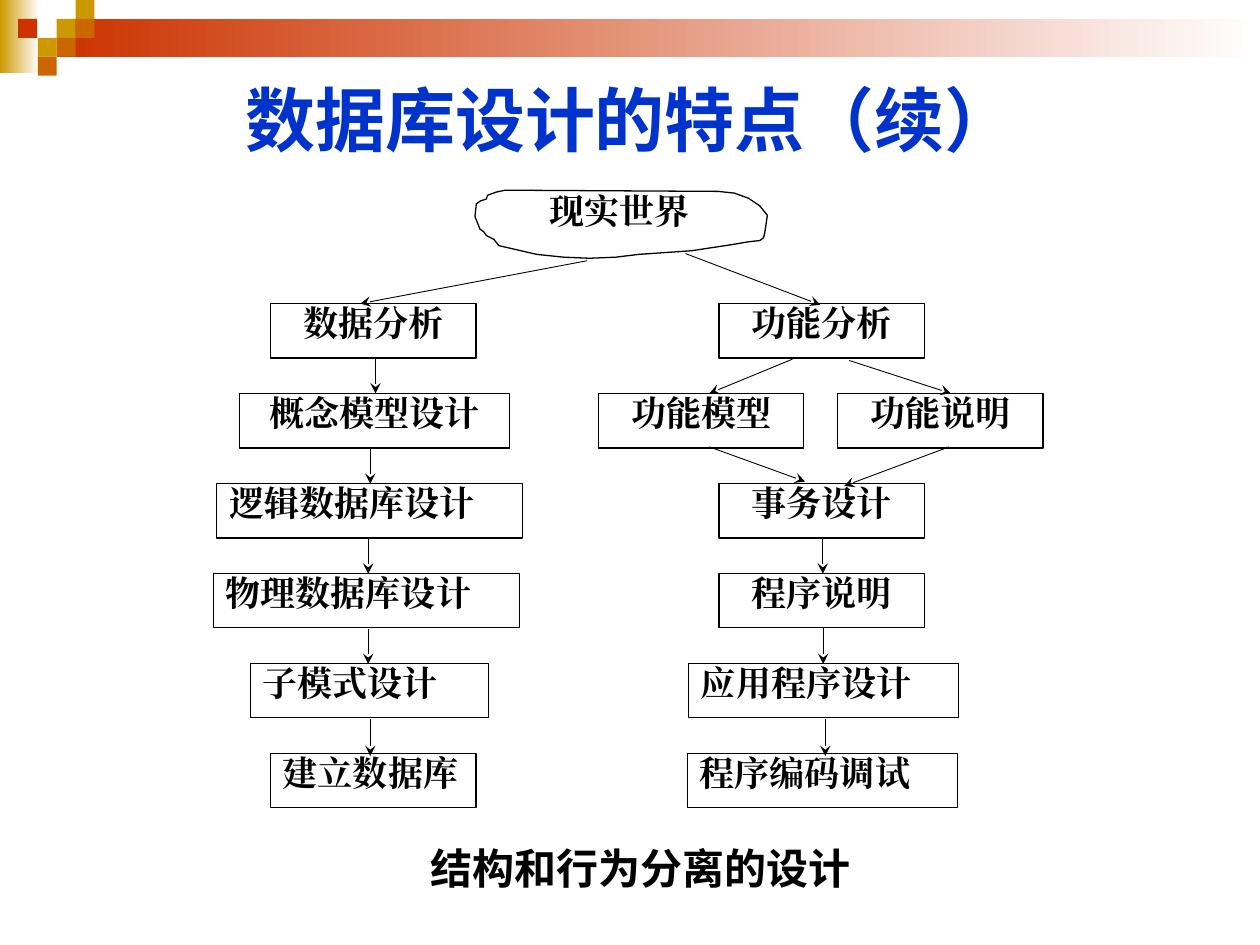
from typing import NamedTuple

from lxml.etree import SubElement
from pptx import Presentation
from pptx.dml.color import RGBColor
from pptx.enum.shapes import MSO_CONNECTOR, MSO_SHAPE
from pptx.enum.text import MSO_ANCHOR, PP_ALIGN
from pptx.oxml.ns import qn
from pptx.util import Pt

BLACK = RGBColor(0x00, 0x00, 0x00)
WHITE = RGBColor(0xFF, 0xFF, 0xFF)
BLUE = RGBColor(0x00, 0x33, 0xCC)
GOLD = RGBColor(0xCC, 0x99, 0x00)
ORANGE = RGBColor(0xCC, 0x66, 0x00)
RED = RGBColor(0xCC, 0x33, 0x00)

SANS = "Noto Sans CJK SC"
SERIF = "Times New Roman"
MID = PP_ALIGN.CENTER
JUST = PP_ALIGN.JUSTIFY
TOP, STEP, HIGH = 173.6, 51.4, 31
TILE = 10.8


class Area(NamedTuple):
    left: float
    top: float
    width: float
    height: float


class Style(NamedTuple):
    font: dict
    para: dict
    anchor: MSO_ANCHOR = MSO_ANCHOR.TOP


class Node(NamedTuple):
    text: str
    row: int
    left: float
    width: float
    align: PP_ALIGN = MID


class Arrow(NamedTuple):
    x: float
    y: float
    to_x: float
    to_y: float
    weight: float = 0.5


class Tile(NamedTuple):
    left: float
    top: float
    color: RGBColor


TILES = [
    Tile(32.4, 10.8, GOLD),
    Tile(43.2, 0, GOLD),
    Tile(43.2, 10.8, ORANGE),
    Tile(21.6, 21.6, GOLD),
    Tile(10.4, 10.8, RED),
    Tile(32.4, 21.6, ORANGE),
    Tile(21.6, 32.4, ORANGE),
]

NODES = [
    Node("数据分析", 0, 154.6, 117.4),
    Node("概念模型设计", 1, 137, 154.2),
    Node("逻辑数据库设计", 2, 123.8, 174.8, JUST),
    Node("物理数据库设计", 3, 121.9, 174.8, JUST),
    Node("子模式设计", 4, 143.1, 136, JUST),
    Node("建立数据库", 5, 154.6, 117.4, JUST),
    Node("功能分析", 0, 410.9, 117.4),
    Node("功能模型", 1, 342.2, 117),
    Node("功能说明", 1, 478.6, 117.4),
    Node("事务设计", 2, 410.9, 117.4),
    Node("程序说明", 3, 410.9, 117.4),
    Node("应用程序设计", 4, 393.5, 154.2, JUST),
    Node("程序编码调试", 5, 392.8, 154.2, JUST),
]

ARROWS = [
    Arrow(335.5, 149, 205.9, 173.5),
    Arrow(214.6, 203.8, 214.6, 224.8),
    Arrow(211.6, 256.3, 211.6, 276.5),
    Arrow(210.4, 308, 210.4, 327.8),
    Arrow(210.4, 359.5, 210.4, 379.4),
    Arrow(211.6, 411, 211.6, 432),
    Arrow(391.7, 144.9, 468.7, 174.2),
    Arrow(452.9, 205.2, 405.4, 224.8),
    Arrow(485.3, 206, 543.3, 224.8),
    Arrow(405.4, 255.4, 460.1, 275.2),
    Arrow(542.3, 255.4, 482.4, 277.7),
    Arrow(470.2, 307, 470.2, 327.8),
    Arrow(470.4, 358.5, 470.4, 379.4),
    Arrow(471.6, 411, 471.6, 432, 0.75),
]

CLOUD = [
    (278.6, 111.6), (283.6, 109.8), (288.7, 108.7), (410.4, 109.4),
    (419.7, 110.4), (427.7, 113.3), (434.1, 117.6), (438.5, 123.1),
    (437, 133.2), (436.3, 135.9), (434.2, 137.5), (427.7, 138.2),
    (419, 139.7), (395.3, 143.3), (365, 145.4), (352, 147),
    (337, 147.6), (322, 147), (306.7, 145.4), (285.1, 140.4),
    (282.2, 136.8), (277.9, 134.6), (276.5, 132.5), (274.3, 131),
    (271.4, 123.8), (272.2, 116.6), (274.5, 114.9), (277.9, 113.8),
]


def apply(item, values: dict) -> None:
    for key, value in values.items():
        setattr(item, key, value)


def points(*values: float) -> list:
    return [Pt(value) for value in values]


def font(name: str, size: float, color: RGBColor) -> dict:
    return {"name": name, "size": Pt(size), "bold": True, "color": color}


def label(size: float, align: PP_ALIGN) -> Style:
    return Style(font(SERIF, size, BLACK), {"alignment": align, "line_spacing": 0.8})


def write(shape, text: str, style: Style) -> None:
    frame = shape.text_frame
    apply(frame, {"word_wrap": True, "vertical_anchor": style.anchor})
    para = frame.paragraphs[0]
    apply(para, style.para)
    run = para.add_run()
    run.text = text
    look = dict(style.font)
    run.font.color.rgb = look.pop("color")
    apply(run.font, look)
    east = SubElement(run.font._element, qn("a:ea"))
    east.set("typeface", look["name"])


def outline(shape, weight: float) -> None:
    shape.line.color.rgb = BLACK
    shape.line.width = Pt(weight)


def block(slide, area: Area):
    shape = slide.shapes.add_shape(MSO_SHAPE.RECTANGLE, *points(*area))
    shape.shadow.inherit = False
    return shape


def paint(slide, area: Area, color: RGBColor, fade: bool = False) -> None:
    shape = block(slide, area)
    shape.line.fill.background()
    if fade:
        shape.fill.gradient()
        shape.fill.gradient_angle = 180
        for stop, tone in zip(shape.fill.gradient_stops, (WHITE, color)):
            stop.color.rgb = tone
    else:
        shape.fill.solid()
        shape.fill.fore_color.rgb = color


def caption(slide, area: Area, text: str, style: Style) -> None:
    write(slide.shapes.add_textbox(*points(*area)), text, style)


def cloud(slide) -> None:
    first, *rest = [points(*pair) for pair in CLOUD]
    maker = slide.shapes.build_freeform(*first)
    maker.add_line_segments(rest, close=True)
    shape = maker.convert_to_shape()
    shape.shadow.inherit = False
    shape.fill.background()
    outline(shape, 0.75)


def box(slide, node: Node) -> None:
    shape = block(slide, Area(node.left, TOP + STEP * node.row, node.width, HIGH))
    shape.fill.background()
    outline(shape, 0.75)
    write(shape, node.text, label(20, node.align))


def link(slide, arrow: Arrow) -> None:
    line = slide.shapes.add_connector(MSO_CONNECTOR.STRAIGHT, *points(*arrow[:4]))
    outline(line, arrow.weight)
    SubElement(line.line._get_or_add_ln(), qn("a:tailEnd")).set("type", "stealth")
    SubElement(line._element.spPr, qn("a:effectLst"))


def main() -> None:
    deck = Presentation()
    apply(deck, {"slide_width": Pt(720), "slide_height": Pt(540)})
    slide = deck.slides.add_slide(deck.slide_layouts[6])
    paint(slide, Area(0, 0, 22.3, 41.8), GOLD, True)
    paint(slide, Area(32.4, 10.8, 687.6, 21.6), RED, True)
    for tile in TILES:
        paint(slide, Area(tile.left, tile.top, TILE, TILE), tile.color)
    note = Style(font(SANS, 24, BLACK), {"alignment": MID, "space_before": Pt(15)})
    caption(slide, Area(149.8, 478.1, 432, 36), "结构和行为分离的设计", note)
    cloud(slide)
    caption(slide, Area(297.4, 109.4, 113, 37.4), "现实世界", label(20, MID))
    for node in NODES:
        box(slide, node)
    for arrow in ARROWS:
        link(slide, arrow)
    title = Style(font(SANS, 40, BLUE), {"alignment": MID}, MSO_ANCHOR.MIDDLE)
    caption(slide, Area(36, 36, 648, 64), "数据库设计的特点（续）", title)
    deck.save("out.pptx")


if __name__ == "__main__":
    main()
